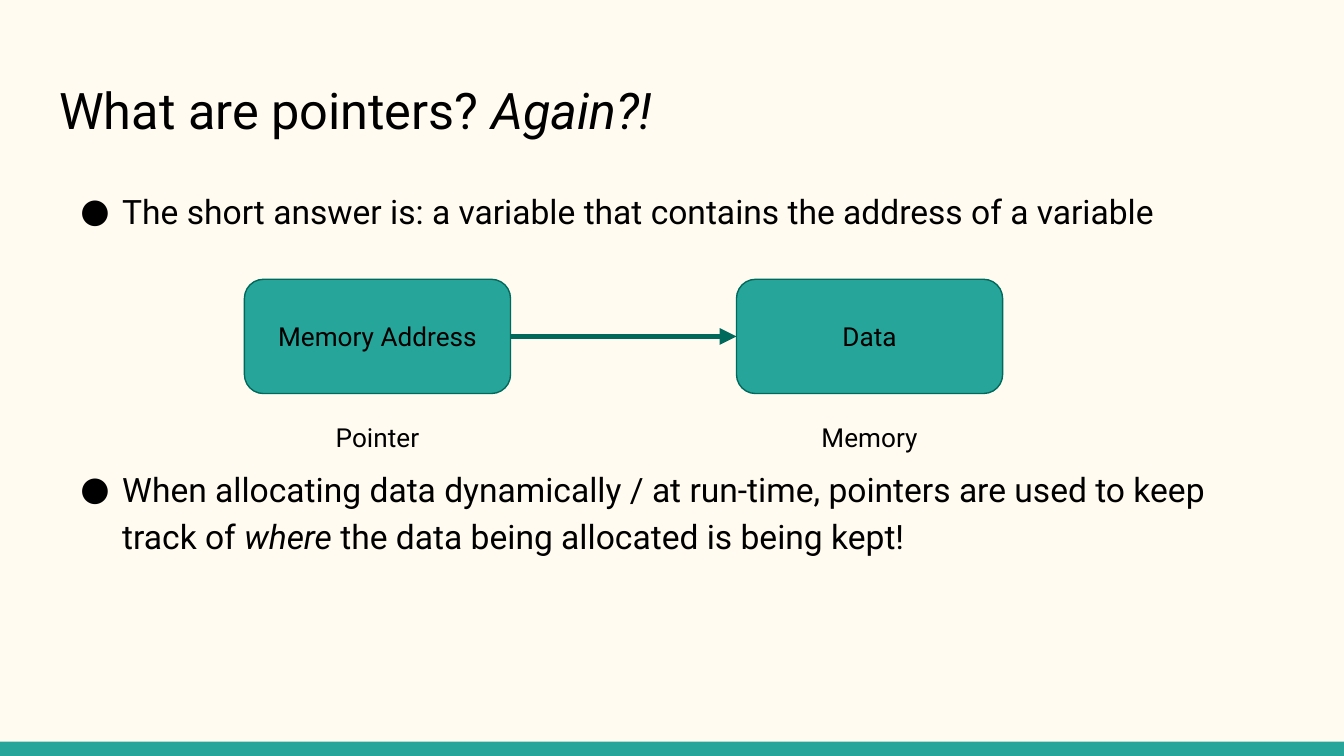
from lxml.etree import SubElement
from pptx import Presentation
from pptx.dml.color import RGBColor
from pptx.enum.shapes import MSO_CONNECTOR, MSO_SHAPE
from pptx.enum.text import MSO_ANCHOR, MSO_AUTO_SIZE, PP_ALIGN
from pptx.oxml.ns import qn
from pptx.util import Cm, Pt

COLORS = {"paper": "FFFBF0", "teal": "26A69A", "dark_teal": "00695C", "ink": "000000"}
FONT = "Roboto"
WIDTH, HEIGHT = Cm(25.4), Cm(14.29)


def color(name):
    """Return the named palette colour."""
    return RGBColor.from_string(COLORS[name])


def add_runs(paragraph, runs, size):
    """Add (text, italic) runs to a paragraph."""
    for text, italic in runs:
        run = paragraph.add_run()
        run.text = text
        run.font.name = FONT
        run.font.size = Pt(size)
        run.font.italic = italic
        run.font.color.rgb = color("ink")


def prepare_frame(shape, anchor):
    """Give a shape's text frame its wrapping, anchor and insets."""
    frame = shape.text_frame
    frame.word_wrap = True
    frame.auto_size = MSO_AUTO_SIZE.NONE
    frame.vertical_anchor = anchor
    frame.margin_left = frame.margin_right = Cm(0.25)
    frame.margin_top = frame.margin_bottom = Cm(0.25)
    return frame


def place(shape, box):
    """Move and size a shape to a (left, top, width, height) box."""
    shape.left, shape.top, shape.width, shape.height = box


def add_bullet(paragraph):
    """Give a paragraph a hanging round bullet."""
    properties = paragraph._p.get_or_add_pPr()
    properties.set("marL", str(Cm(1.19)))
    properties.set("indent", str(Cm(-0.79)))
    bullet_color = SubElement(properties, qn("a:buClr"))
    SubElement(bullet_color, qn("a:srgbClr"), val=COLORS["ink"])
    SubElement(properties, qn("a:buFont"), typeface=FONT)
    SubElement(properties, qn("a:buChar"), char="●")


def fill_title(slide, box, runs):
    """Place the title placeholder and write its runs."""
    title = slide.shapes.title
    place(title, box)
    paragraph = prepare_frame(title, MSO_ANCHOR.TOP).paragraphs[0]
    paragraph.alignment = PP_ALIGN.LEFT
    add_runs(paragraph, runs, 27)


def fill_body(slide, box, bullets):
    """Place the body placeholder and write (space before, runs) bullets."""
    body = slide.placeholders[1]
    place(body, box)
    frame = prepare_frame(body, MSO_ANCHOR.TOP)
    for index, (space, runs) in enumerate(bullets):
        paragraph = frame.add_paragraph() if index else frame.paragraphs[0]
        paragraph.line_spacing = 1.15
        paragraph.space_before = space
        add_bullet(paragraph)
        add_runs(paragraph, runs, 18)


def add_bar(slide, box):
    """Add the plain footer bar."""
    bar = slide.shapes.add_shape(MSO_SHAPE.RECTANGLE, *box)
    bar.shadow.inherit = False
    bar.fill.solid()
    bar.fill.fore_color.rgb = color("teal")
    bar.line.fill.background()


def add_node(slide, box, text, caption):
    """Add a rounded node with a caption centred below it."""
    left, top, width, height = box
    node = slide.shapes.add_shape(MSO_SHAPE.ROUNDED_RECTANGLE, *box)
    node.shadow.inherit = False
    node.fill.solid()
    node.fill.fore_color.rgb = color("teal")
    node.line.color.rgb = color("dark_teal")
    node.line.width = Pt(0.75)
    inset = Cm(0.44)
    label = slide.shapes.add_textbox(
        left + inset, top + height + Cm(0.28), width - 2 * inset, Cm(1.12))
    for shape, words, anchor in ((node, text, MSO_ANCHOR.MIDDLE),
                                 (label, caption, MSO_ANCHOR.TOP)):
        paragraph = prepare_frame(shape, anchor).paragraphs[0]
        paragraph.alignment = PP_ALIGN.CENTER
        add_runs(paragraph, [(words, False)], 14)
    return node


def add_arrow(slide, source, target):
    """Join the right side of one node to the left side of another."""
    arrow = slide.shapes.add_connector(MSO_CONNECTOR.STRAIGHT, 0, 0, 0, 0)
    arrow.begin_connect(source, 3)
    arrow.end_connect(target, 1)
    arrow.line.color.rgb = color("dark_teal")
    arrow.line.width = Pt(3)
    SubElement(arrow.line._get_or_add_ln(), qn("a:tailEnd"), type="triangle")
    SubElement(arrow._element.spPr, qn("a:effectLst"))


def add_diagram(slide, box):
    """Draw the pointer and memory nodes at the two ends of the box."""
    left, top, width, height = box
    node_width = Cm(5.03)
    pointer = add_node(slide, (left, top, node_width, height),
                       "Memory Address", "Pointer")
    memory = add_node(slide, (left + width - node_width, top, node_width, height),
                      "Data", "Memory")
    add_arrow(slide, pointer, memory)


def main():
    """Build and save the presentation."""
    presentation = Presentation()
    presentation.slide_width, presentation.slide_height = WIDTH, HEIGHT
    slide = presentation.slides.add_slide(presentation.slide_layouts[1])
    slide.background.fill.solid()
    slide.background.fill.fore_color.rgb = color("paper")
    bar_height = Cm(0.27)
    add_bar(slide, (0, HEIGHT - bar_height, WIDTH, bar_height))
    margin = Cm(0.87)
    content_width = WIDTH - 2 * margin
    fill_title(slide, (margin, Cm(1.24), content_width, Cm(1.7)),
               [("What are pointers? ", False), ("Again?!", True)])
    fill_body(slide, (margin, Cm(3.25), content_width, Cm(10.36)), [
        (Cm(0), [("The short answer is: a variable that contains "
                  "the address of a variable", False)]),
        (Cm(4.38), [("When allocating data dynamically / at run-time, "
                     "pointers are used to keep track of ", False),
                    ("where", True),
                    (" the data being allocated is being kept!", False)]),
    ])
    add_diagram(slide, (Cm(4.62), Cm(5.28), Cm(14.33), Cm(2.16)))
    presentation.save("out.pptx")


if __name__ == "__main__":
    main()
